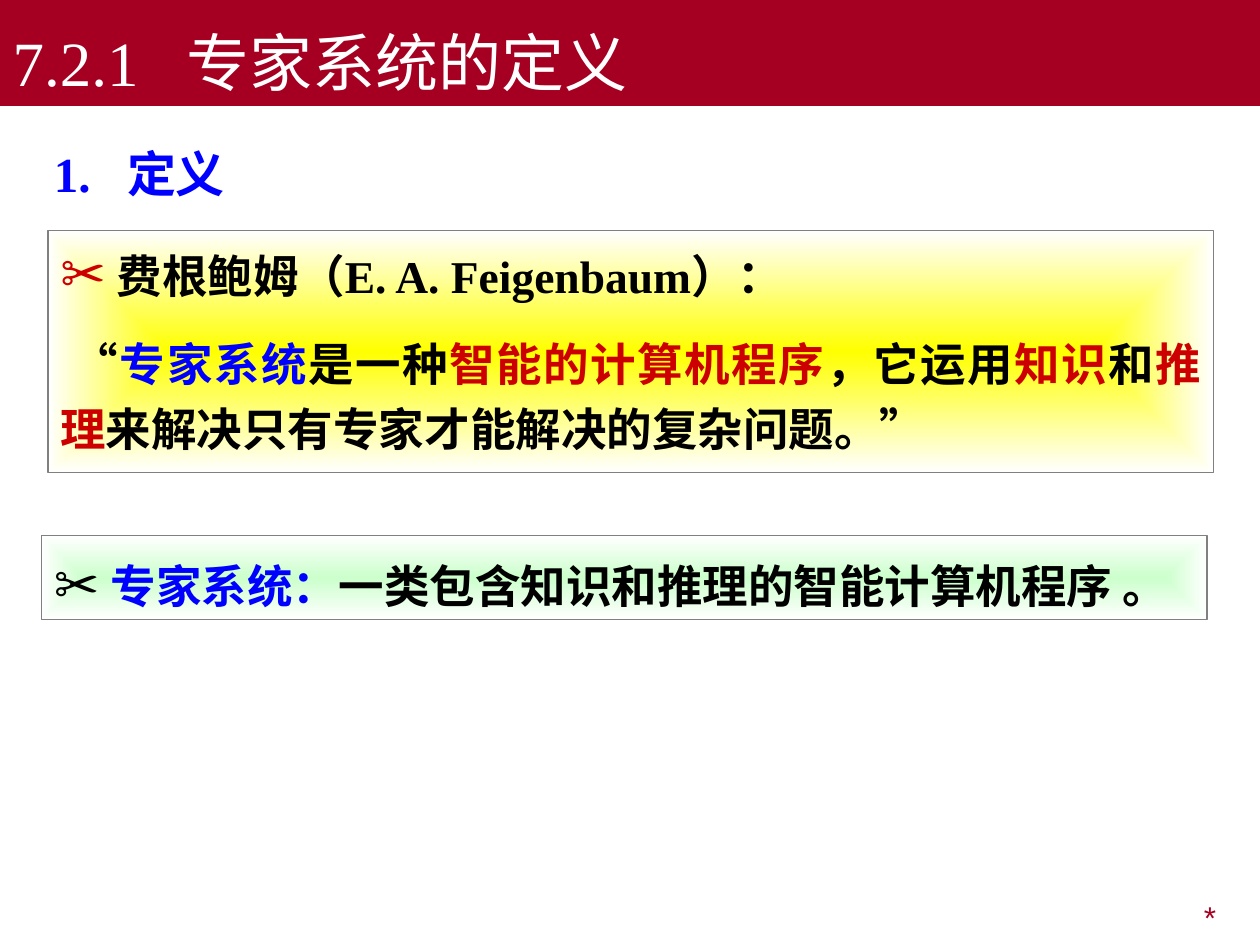
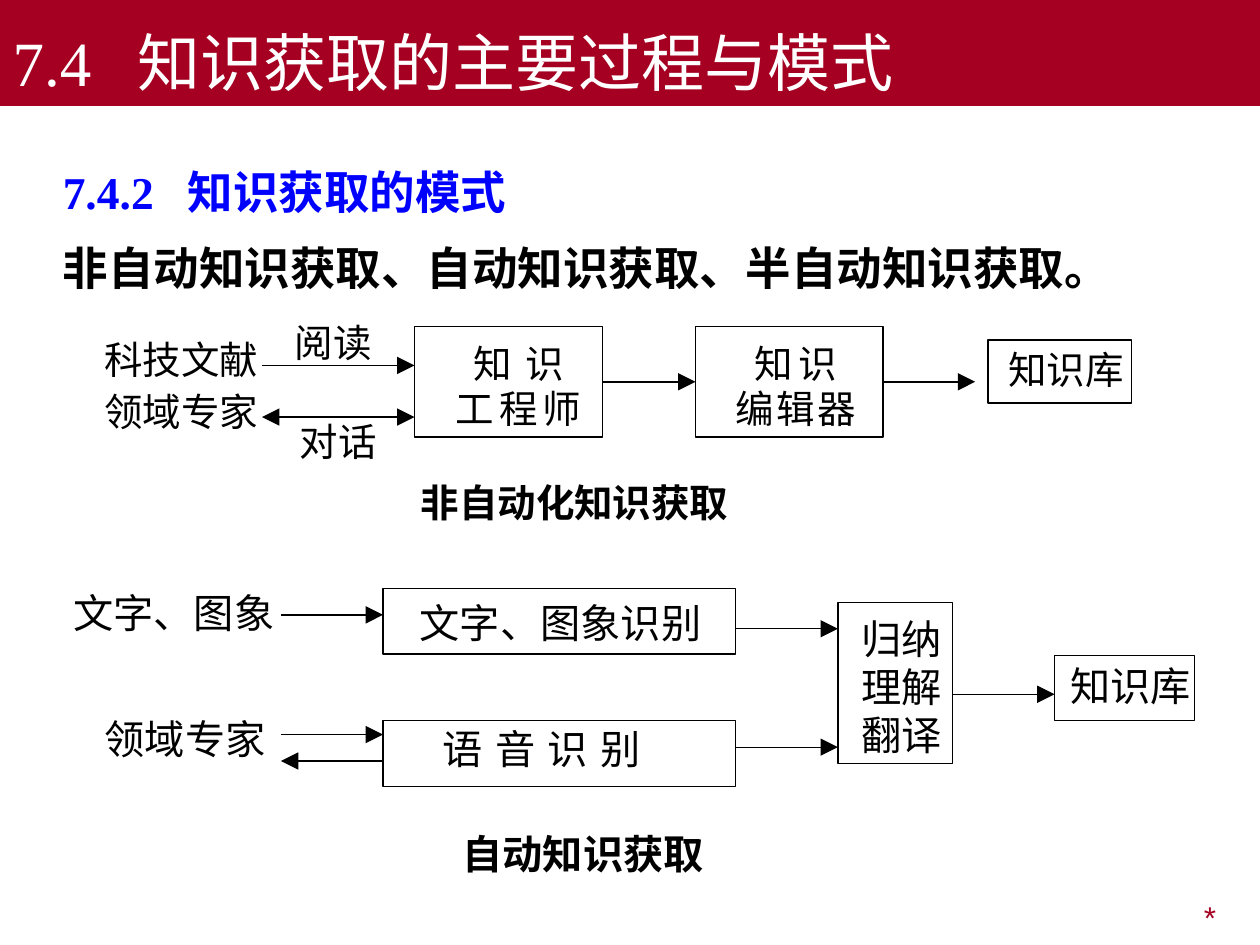
from dataclasses import dataclass

from lxml.etree import SubElement
from pptx import Presentation
from pptx.dml.color import RGBColor as Rgb
from pptx.enum.shapes import MSO_CONNECTOR as Connector, MSO_SHAPE as Preset
from pptx.enum.text import MSO_ANCHOR as Anchor, PP_ALIGN as Align
from pptx.oxml.ns import qn
from pptx.util import Inches, Pt


@dataclass(frozen=True)
class Theme:
    """Colours, fonts and type sizes shared by the slides."""
    band: str = "A50021"
    white: str = "FFFFFF"
    black: str = "000000"
    blue: str = "0000FF"
    red: str = "CC0000"
    yellow: str = "FFFF00"
    green: str = "CCFFCC"
    grey: str = "808080"
    serif: str = "Times New Roman"
    chinese: str = "Noto Sans CJK SC"
    footer_font: str = "Arial"
    symbols: str = "DejaVu Sans"
    title: int = 36
    heading: int = 28
    body: int = 26
    footer: int = 18
    manual_flow: int = 22
    auto_flow: int = 23


THEME = Theme()


def place(shape, at):
    """Move and size a shape, in inches."""
    shape.left, shape.top, shape.width, shape.height = map(Inches, at)


def set_insets(frame, left=0.1, top=0.05, right=0.1, bottom=0.05):
    """Set the inner margins of a text frame."""
    frame.margin_left, frame.margin_top = Inches(left), Inches(top)
    frame.margin_right, frame.margin_bottom = Inches(right), Inches(bottom)


def style_run(run, size, color=THEME.black, font=THEME.serif, bold=False, spacing=0):
    """Format one run; spacing is the gap between letters in points."""
    run.font.size, run.font.bold, run.font.name = Pt(size), bold, font
    run.font.color.rgb = Rgb.from_string(color)
    properties = run._r.get_or_add_rPr()
    if spacing:
        properties.set("spc", str(round(spacing * 100)))
    SubElement(properties, qn("a:ea"), typeface=THEME.chinese)


def write(paragraph, text, size, **style):
    """Fill a paragraph with text in one style."""
    paragraph.text = text
    style_run(paragraph.runs[0], size, **style)


def write_mixed(paragraph, parts, size):
    """Fill a paragraph with bold (text, colour) parts."""
    for text, color in parts:
        run = paragraph.add_run()
        run.text = text
        style_run(run, size, color=color, bold=True)


def add_tab_stop(paragraph, position):
    """Give a paragraph one left tab stop, in inches."""
    stops = SubElement(paragraph._p.get_or_add_pPr(), qn("a:tabLst"))
    SubElement(stops, qn("a:tab"), pos=str(Inches(position)), algn="l")


def add_scissors(paragraph, color):
    """Give a paragraph a hanging scissors bullet."""
    properties = paragraph._p.get_or_add_pPr()
    properties.set("marL", str(Inches(0.45)))
    properties.set("indent", str(Inches(-0.45)))
    bullet_color = SubElement(properties, qn("a:buClr"))
    SubElement(bullet_color, qn("a:srgbClr"), val=color)
    SubElement(properties, qn("a:buSzPct"), val="120000")
    SubElement(properties, qn("a:buFont"), typeface=THEME.symbols)
    SubElement(properties, qn("a:buChar"), char="✂")


def add_text_frame(slide, at):
    """Add a wrapping text box and return its frame."""
    frame = slide.shapes.add_textbox(*map(Inches, at)).text_frame
    frame.word_wrap = True
    set_insets(frame)
    return frame


def add_rectangle(slide, at, line_color, line_width):
    """Add an unfilled outlined rectangle for text."""
    box = slide.shapes.add_shape(Preset.RECTANGLE, *map(Inches, at))
    box.shadow.inherit = False
    box.fill.background()
    box.line.color.rgb = Rgb.from_string(line_color)
    box.line.width = Pt(line_width)
    box.text_frame.word_wrap = True
    box.text_frame.vertical_anchor = Anchor.TOP
    set_insets(box.text_frame)
    return box


def add_glow_box(slide, at, glow):
    """Add a panel whose colour fades to white at the edges."""
    panel = add_rectangle(slide, at, THEME.grey, 0.75)
    panel.fill.gradient()
    for stop, color in zip(panel.fill.gradient_stops, (glow, THEME.white)):
        stop.color.rgb = Rgb.from_string(color)
    gradient = panel.element.spPr.find(qn("a:gradFill"))
    gradient.remove(gradient.find(qn("a:lin")))
    fade = SubElement(gradient, qn("a:path"), path="rect")
    SubElement(fade, qn("a:fillToRect"), l="50000", t="50000", r="50000", b="50000")
    return panel.text_frame


def add_titled_slide(deck, title, tab):
    """Add a slide with the title band and the footer mark."""
    slide = deck.slides.add_slide(deck.slide_layouts[5])
    band = slide.shapes.title
    place(band, (0, 0, 10, 0.84))
    band.fill.solid()
    band.fill.fore_color.rgb = Rgb.from_string(THEME.band)
    band.text_frame.vertical_anchor = Anchor.BOTTOM
    set_insets(band.text_frame)
    heading = band.text_frame.paragraphs[0]
    heading.alignment = Align.LEFT
    add_tab_stop(heading, tab)
    write(heading, title, THEME.title, color=THEME.white)
    mark = add_text_frame(slide, (7.58, 7.08, 2.17, 0.39)).paragraphs[0]
    mark.alignment = Align.RIGHT
    write(mark, "*", THEME.footer, color=THEME.band, font=THEME.footer_font)
    return slide


def add_label(slide, left, top, text, size, bold=False):
    """Add a one-line label of the flow charts, with some room to spare."""
    width = len(text) * size / 72 + 0.15
    frame = add_text_frame(slide, (left, top, width, 0.38))
    set_insets(frame, 0, 0, 0, 0)
    write(frame.paragraphs[0], text, size, font=THEME.chinese, bold=bold)


def add_step(slide, at, lines, size, width, top, shift=0.05, pitch=None):
    """Add a step box; lines are (text, letter gap), shift moves them sideways."""
    step = add_rectangle(slide, at, THEME.black, width)
    frame = step.text_frame
    set_insets(frame, max(2 * shift, 0), top, max(-2 * shift, 0), 0)
    for number, (text, gap) in enumerate(lines):
        line = frame.add_paragraph() if number else frame.paragraphs[0]
        line.alignment = Align.CENTER
        if pitch:
            line.line_spacing = Pt(pitch)
        write(line, text, size, font=THEME.chinese, spacing=gap)
    return step


def add_arrow(slide, start, end, width, source=None, target=None, both=False):
    """Add an arrow, joined to the sides of source and target if given."""
    arrow = slide.shapes.add_connector(Connector.STRAIGHT, *map(Inches, (*start, *end)))
    if source:
        arrow.begin_connect(source, 3)
    if target:
        arrow.end_connect(target, 1)
    arrow.line.color.rgb = Rgb.from_string(THEME.black)
    arrow.line.width = Pt(width)
    line = arrow.line._get_or_add_ln()
    for tip in ("a:headEnd", "a:tailEnd") if both else ("a:tailEnd",):
        SubElement(line, qn(tip), type="triangle", w="lg", len="lg")
    SubElement(arrow.element.spPr, qn("a:effectLst"))


def build_definition(deck):
    """Build the slide that defines an expert system."""
    slide = add_titled_slide(deck, "7.2.1\t专家系统的定义", 1.38)
    heading = add_text_frame(slide, (0.33, 1, 9.25, 0.7)).paragraphs[0]
    heading.line_spacing = 1.2
    add_tab_stop(heading, 0.58)
    write(heading, "1.\t定义", THEME.heading, color=THEME.blue, bold=True)

    quotation = add_glow_box(slide, (0.38, 1.83, 9.25, 1.92), THEME.yellow)
    author, quote = quotation.paragraphs[0], quotation.add_paragraph()
    for paragraph in (author, quote):
        paragraph.alignment = Align.JUSTIFY
        paragraph.line_spacing = 1.2
    add_scissors(author, THEME.red)
    write(author, "费根鲍姆（E. A. Feigenbaum）：", THEME.body, bold=True)
    quote.space_before = Pt(13)
    quote._p.get_or_add_pPr().set("indent", str(Inches(0.1)))
    write_mixed(quote, [
        ("“", THEME.black), ("专家系统", THEME.blue), ("是一种", THEME.black),
        ("智能的计算机程序", THEME.red), ("，它运用", THEME.black),
        ("知识", THEME.red), ("和", THEME.black), ("推理", THEME.red),
        ("来解决只有专家才能解决的复杂问题。”", THEME.black),
    ], THEME.body)

    summary = add_glow_box(slide, (0.33, 4.25, 9.25, 0.67), THEME.green).paragraphs[0]
    summary.alignment = Align.LEFT
    summary.line_spacing = 1.3
    add_scissors(summary, THEME.black)
    write_mixed(summary, [("专家系统：", THEME.blue),
                          ("一类包含知识和推理的智能计算机程序 。", THEME.black)], THEME.body)


def build_manual_flow(slide):
    """Draw the flow of non-automatic acquisition."""
    size, width = THEME.manual_flow, 0.88
    for left, top, text in [(0.83, 2.67, "科技文献"), (0.83, 3.08, "领域专家"),
                            (2.34, 2.53, "阅读"), (2.38, 3.32, "对话")]:
        add_label(slide, left, top, text, size)
    add_label(slide, 3.34, 3.8, "非自动化知识获取", size, bold=True)
    engineer = add_step(slide, (3.29, 2.59, 1.49, 0.88), [("知识", 8), ("工程师", 3)],
                        size, width, 0.11, shift=0.08, pitch=26)
    editor = add_step(slide, (5.52, 2.59, 1.49, 0.88), [("知识", 3), ("编辑器", 1.5)],
                      size, width, 0.11, pitch=26)
    add_step(slide, (7.84, 2.7, 1.14, 0.5), [("知识库", 0)], size, width, 0.05)
    add_arrow(slide, (2.08, 2.9), (3.29, 2.9), width)
    add_arrow(slide, (2.08, 3.31), (3.29, 3.31), width, both=True)
    add_arrow(slide, (4.78, 3.03), (5.52, 3.03), width, engineer, editor)
    add_arrow(slide, (7.01, 3.03), (7.74, 3.03), width, editor)


def build_auto_flow(slide):
    """Draw the flow of automatic acquisition."""
    size, width = THEME.auto_flow, 0.75
    add_label(slide, 0.58, 4.67, "文字、图象", size)
    add_label(slide, 0.83, 5.67, "领域专家", size)
    add_label(slide, 3.67, 6.58, "自动知识获取", size, bold=True)
    add_step(slide, (3.04, 4.67, 2.8, 0.52), [("文字、图象识别", 0)], size, width, 0.08, shift=0.01)
    add_step(slide, (3.04, 5.72, 2.8, 0.52), [("语音识别", 7)], size, width, 0.03, shift=-0.14)
    add_step(slide, (6.65, 4.78, 0.91, 1.28), [("归纳", 0), ("理解", 0), ("翻译", 0)],
             size, width, 0.1, pitch=27.4)
    add_step(slide, (8.37, 5.2, 1.11, 0.52), [("知识库", 0)], size, width, 0.05)
    for start, end, level in [(2.23, 3.04, 4.88), (5.84, 6.65, 4.99), (5.84, 6.65, 5.93),
                              (7.56, 8.37, 5.51), (2.23, 3.04, 5.83), (3.04, 2.23, 6.04)]:
        add_arrow(slide, (start, level), (end, level), width)


def build_acquisition(deck):
    """Build the slide on the modes of knowledge acquisition."""
    slide = add_titled_slide(deck, "7.4\t知识获取的主要过程与模式", 0.99)
    frame = add_text_frame(slide, (0.4, 1.08, 9.1, 1.32))
    heading, modes = frame.paragraphs[0], frame.add_paragraph()
    heading.line_spacing = modes.line_spacing = 1.4
    add_tab_stop(heading, 0.99)
    write(heading, "7.4.2\t知识获取的模式", THEME.body, color=THEME.blue, bold=True)
    write(modes, "非自动知识获取、自动知识获取、半自动知识获取。", THEME.body, bold=True)
    build_manual_flow(slide)
    build_auto_flow(slide)


def main():
    """Build and save the presentation."""
    deck = Presentation()
    deck.slide_width, deck.slide_height = Inches(10), Inches(7.5)
    build_definition(deck)
    build_acquisition(deck)
    deck.save("out.pptx")


if __name__ == "__main__":
    main()
